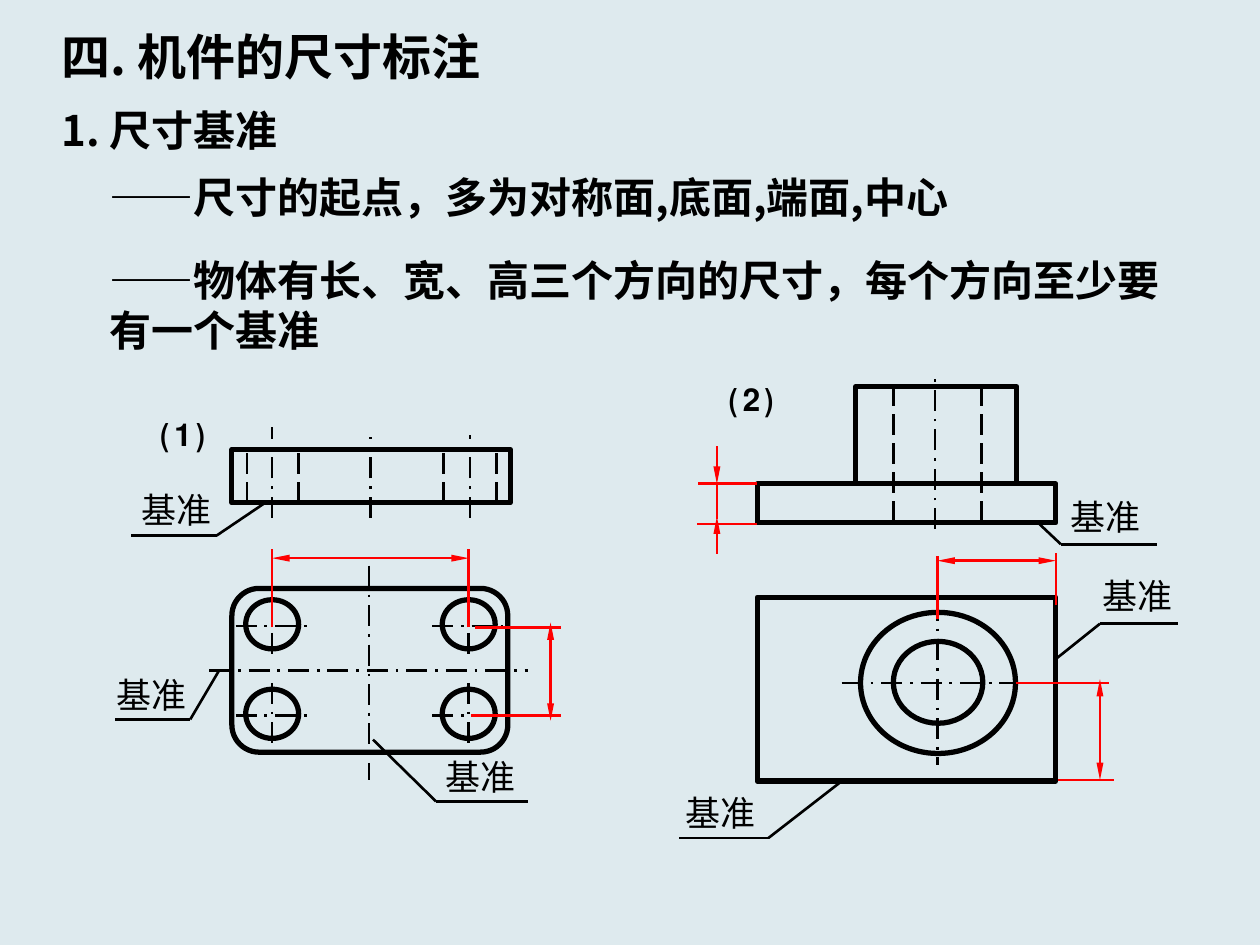
from lxml import etree
from pptx import Presentation
from pptx.dml.color import RGBColor
from pptx.enum.dml import MSO_LINE
from pptx.enum.shapes import MSO_CONNECTOR, MSO_SHAPE
from pptx.enum.text import MSO_ANCHOR, MSO_AUTO_SIZE, PP_ALIGN
from pptx.oxml.ns import qn
from pptx.util import Cm, Pt

RECT, ROUND_RECT, OVAL = MSO_SHAPE.RECTANGLE, MSO_SHAPE.ROUNDED_RECTANGLE, MSO_SHAPE.OVAL
STRAIGHT = MSO_CONNECTOR.STRAIGHT
AXIS, HIDDEN = MSO_LINE.LONG_DASH_DOT, MSO_LINE.LONG_DASH
CENTER, MIDDLE = PP_ALIGN.CENTER, MSO_ANCHOR.MIDDLE
GROW = MSO_AUTO_SIZE.SHAPE_TO_FIT_TEXT

BLACK, RED, PAPER = "000000", "FF0000", "DEEAEE"
SANS, SERIF, LATO = "Noto Sans CJK SC", "Times New Roman", "Lato"


def inch(value):
    """Drawing coordinates are in inches."""
    return Cm(value * 2.54)


def color(hex_text):
    return RGBColor.from_string(hex_text)


def set_font_name(r, name):
    """Serif runs keep the sans face for their Chinese characters."""
    r.font.name = name
    east_asian = SANS if name == SERIF else name
    etree.SubElement(r._r.get_or_add_rPr(), qn("a:ea"), typeface=east_asian)


def add_text(s, box, runs, size, bold=False, wrap=False, centered=False):
    """Add one paragraph made of (text, font name) runs."""
    sp = s.shapes.add_textbox(*map(inch, box))
    tf = sp.text_frame
    tf.word_wrap = wrap
    tf.auto_size = GROW
    p = tf.paragraphs[0]
    if centered:
        tf.margin_left = tf.margin_right = Cm(0)
        tf.vertical_anchor = MIDDLE
        p.alignment = CENTER
    p.font.size = Pt(size)
    p.font.bold = bold
    p.font.color.rgb = color(BLACK)
    for text, name in runs:
        r = p.add_run()
        r.text = text
        set_font_name(r, name)


def add_label(s, left, top, width=0.75):
    add_text(s, (left, top, width, 0.44), [("基准", SANS)], 20, centered=True)


def add_outline(s, kind, left, top, width, height):
    sp = s.shapes.add_shape(kind, *map(inch, (left, top, width, height)))
    sp.shadow.inherit = False
    sp.fill.background()
    sp.line.color.rgb = color(BLACK)
    sp.line.width = Pt(3)


def add_line(s, x1, y1, x2, y2, rgb=BLACK, dash=None, arrows=()):
    """Add a thin line; arrows names its ends, headEnd before tailEnd."""
    c = s.shapes.add_connector(STRAIGHT, *map(inch, (x1, y1, x2, y2)))
    c.line.color.rgb = color(rgb)
    c.line.width = Pt(1.5)
    if dash:
        c.line.dash_style = dash
    ln = c.line._get_or_add_ln()
    for end in arrows:
        etree.SubElement(ln, qn(f"a:{end}"), type="triangle", w="sm", len="lg")
    etree.SubElement(c._element.spPr, qn("a:effectLst"))


def add_dimension(s, *ends):
    add_line(s, *ends, rgb=RED, arrows=("headEnd", "tailEnd"))


def add_leader(s, tip, elbow, end_x):
    add_line(s, *tip, *elbow)
    add_line(s, *elbow, end_x, elbow[1])


def add_headings(s):
    add_text(s, (0.39, 0.16, 4.15, 0.57), [("四. 机件的尺寸标注", SANS)], 28, bold=True)
    add_text(s, (0.39, 0.78, 9.61, 0.5), [("1. 尺寸基准", SANS)], 24, bold=True, wrap=True)
    add_text(s, (0.77, 1.31, 8.69, 0.5),
             [("——尺寸的起点，", SERIF), ("多为对称面,底面,端面,中心", SANS)],
             24, bold=True, wrap=True)
    add_text(s, (0.77, 1.97, 8.69, 0.9),
             [("——", SERIF),
              ("物体有长、宽、高三个方向的尺寸，每个方向至少要有一个基准", SANS)],
             24, bold=True, wrap=True)


def add_plate(s):
    left_x, right_x = 2.16, 3.72
    add_text(s, (1.18, 3.16, 0.54, 0.5), [("⑴", LATO)], 24, bold=True, centered=True)

    # Top view: plate, four holes and their axes
    add_outline(s, ROUND_RECT, 1.84, 4.67, 2.19, 1.3)
    for x in (left_x, right_x):
        for y in (4.97, 5.68):
            add_outline(s, OVAL, x - 0.21, y - 0.21, 0.42, 0.39)
            add_line(s, x - 0.29, y, x + 0.31, y, dash=AXIS)
            add_line(s, x, y - 0.26, x, y + 0.26, dash=AXIS)
    add_line(s, 1.66, 5.32, 4.19, 5.32, dash=AXIS)
    add_line(s, 2.93, 4.49, 2.93, 6.19, dash=AXIS)

    # Front view
    add_outline(s, RECT, 1.84, 3.57, 2.21, 0.42)
    for x in (1.96, 2.37, 3.52, 3.94):
        add_line(s, x, 3.99, x, 3.57, dash=HIDDEN)
    for x, top in ((2.16, 3.39), (2.94, 3.47), (3.73, 3.45)):
        add_line(s, x, 4.11, x, top, dash=AXIS)

    # Hole spacing dimensions
    for x in (left_x, right_x):
        add_line(s, x, 4.98, x, 4.36, RED)
    add_dimension(s, left_x, 4.43, right_x, 4.43)
    add_line(s, 3.77, 4.98, 4.45, 4.98, RED)
    add_line(s, 3.74, 5.68, 4.45, 5.68, RED)
    add_dimension(s, 4.37, 4.94, 4.37, 5.72)

    # Datum leaders and labels
    add_leader(s, (1.74, 5.32), (1.51, 5.71), 0.91)
    add_leader(s, (2.96, 5.87), (3.46, 6.36), 4.19)
    add_leader(s, (2.12, 3.98), (1.72, 4.25), 1.04)
    for left, top in ((0.83, 5.29), (3.44, 5.94), (1.03, 3.82)):
        add_label(s, left, top)


def add_flange(s):
    axis_x, right_x = 7.44, 8.38
    add_text(s, (5.69, 2.88, 0.54, 0.5), [("⑵", LATO)], 24, bold=True, centered=True)

    # Top view: base, boss and bore
    add_outline(s, OVAL, 7.09, 5.09, 0.71, 0.65)
    add_outline(s, OVAL, 6.83, 4.86, 1.23, 1.12)
    add_line(s, 6.68, 5.42, 8.19, 5.42, dash=AXIS)
    add_line(s, axis_x, 4.76, axis_x, 6.07, dash=AXIS)
    add_outline(s, RECT, 6.01, 4.74, 2.37, 1.46)

    # Front view
    add_outline(s, RECT, 6.01, 3.84, 2.37, 0.31)
    add_outline(s, RECT, 6.79, 3.07, 1.28, 0.77)
    add_line(s, 7.42, 4.2, 7.42, 2.98, dash=AXIS)
    for x in (7.09, 7.79):
        add_line(s, x, 4.14, x, 3.07, dash=HIDDEN)

    # Position dimensions of the bore
    add_line(s, axis_x, 4.91, axis_x, 4.41, RED)
    add_line(s, right_x, 4.8, right_x, 4.39, RED)
    add_dimension(s, axis_x, 4.45, right_x, 4.45)
    add_line(s, 8.06, 5.42, 8.8, 5.42, RED)
    add_line(s, 8.4, 6.19, 8.84, 6.19, RED)
    add_dimension(s, 8.73, 5.39, 8.73, 6.19)

    # Base thickness dimension, arrows from outside
    add_line(s, 6.01, 3.84, 5.54, 3.84, RED)
    add_line(s, 6.01, 4.16, 5.53, 4.16, RED)
    add_line(s, 5.69, 3.54, 5.69, 3.84, RED, arrows=("tailEnd",))
    add_line(s, 5.69, 3.84, 5.69, 4.12, RED)
    add_line(s, 5.69, 4.1, 5.69, 4.4, RED, arrows=("headEnd",))

    # Datum leaders and labels
    add_leader(s, (6.68, 6.2), (6.1, 6.65), 5.39)
    add_leader(s, (right_x, 5.23), (8.73, 4.95), 9.35)
    add_leader(s, (8.24, 4.15), (8.42, 4.32), 9.18)
    add_label(s, 8.4, 3.88)
    add_label(s, 5.34, 6.23)
    add_label(s, 8.43, 4.51, 1.2)


def main():
    prs = Presentation()
    prs.slide_width, prs.slide_height = Cm(25.4), Cm(19.05)
    s = prs.slides.add_slide(prs.slide_layouts[6])
    s.background.fill.solid()
    s.background.fill.fore_color.rgb = color(PAPER)
    add_headings(s)
    add_plate(s)
    add_flange(s)
    prs.save("out.pptx")


if __name__ == "__main__":
    main()
